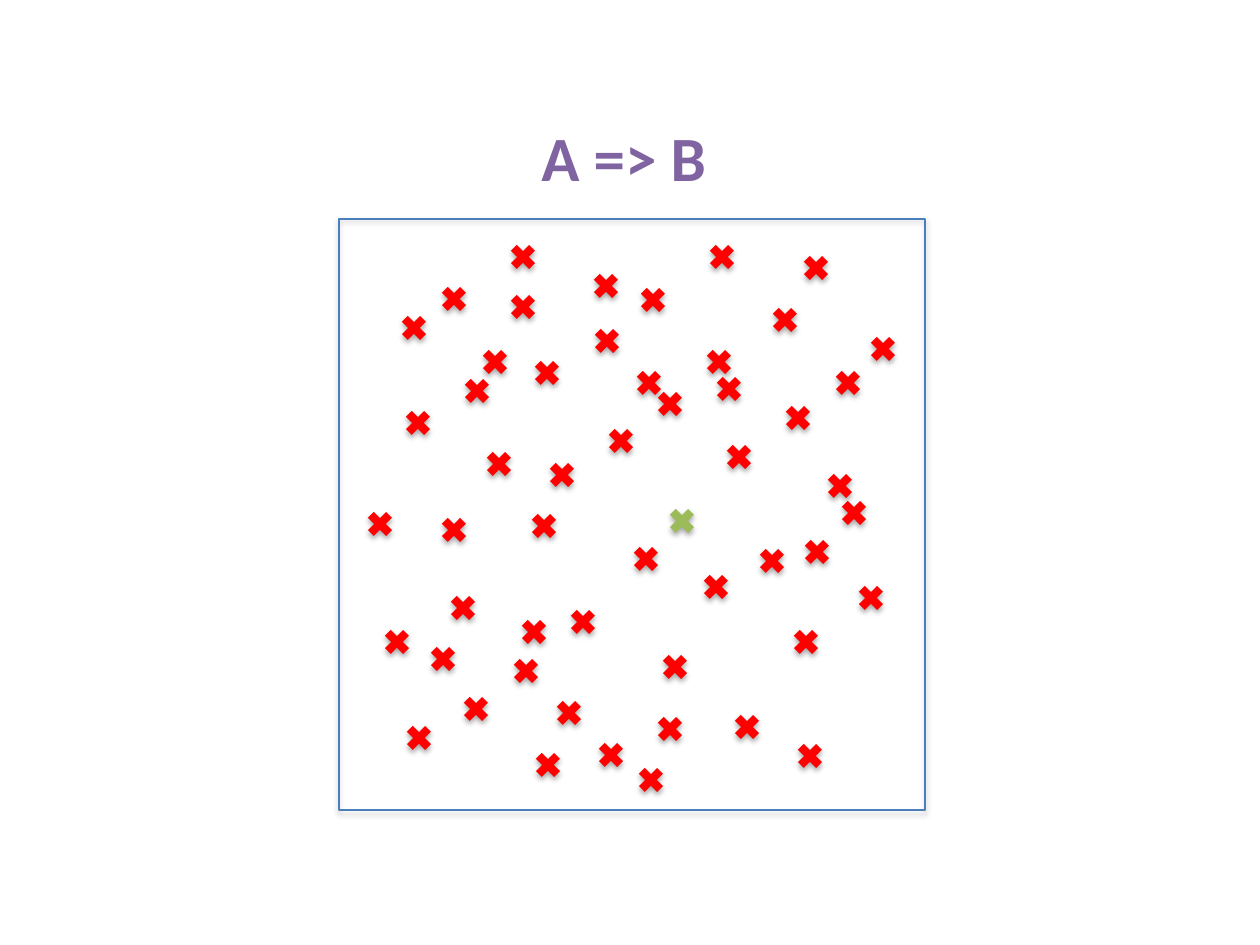
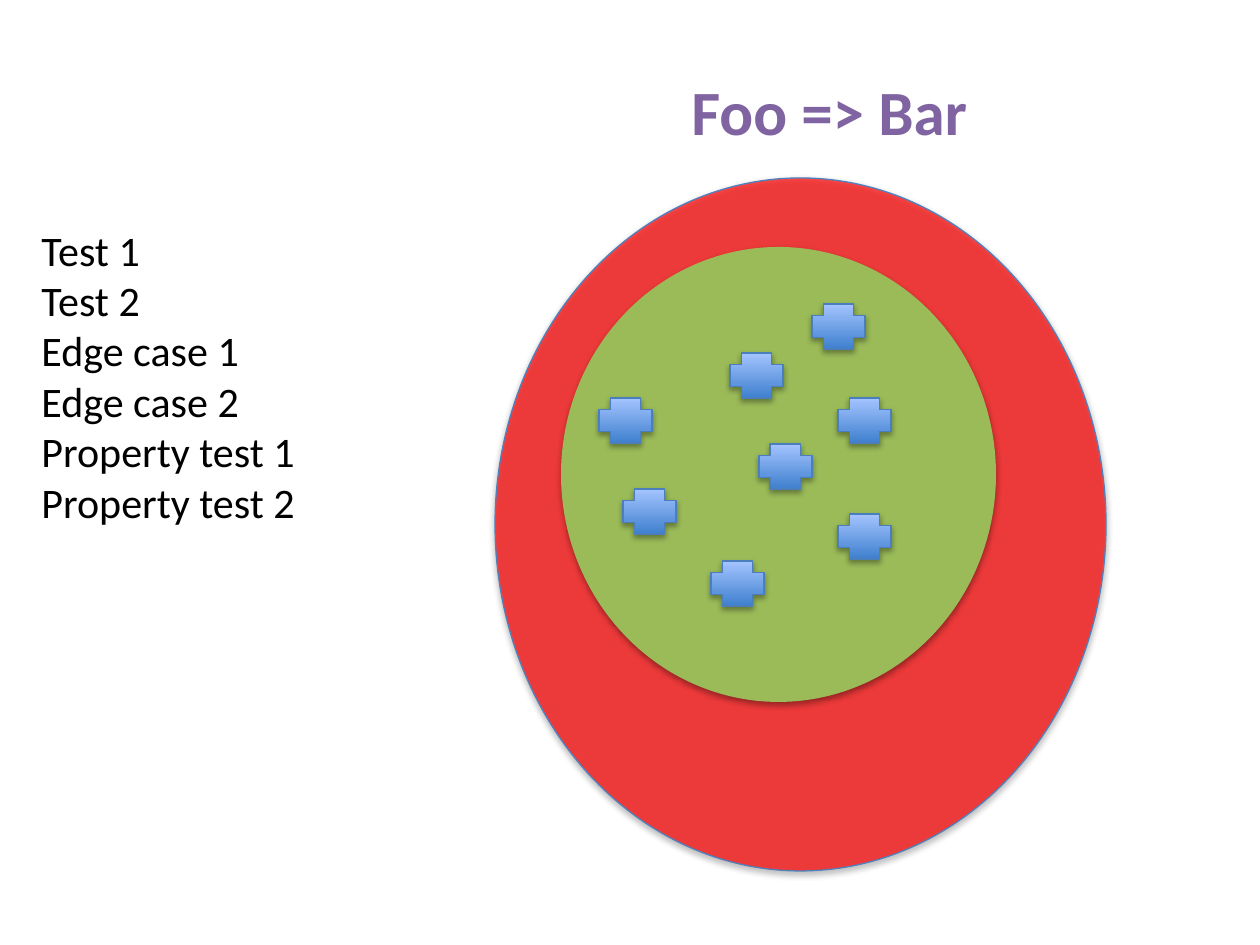
from dataclasses import dataclass

from lxml.etree import SubElement
from pptx import Presentation
from pptx.dml.color import RGBColor
from pptx.enum.shapes import MSO_SHAPE
from pptx.enum.text import MSO_AUTO_SIZE
from pptx.oxml.ns import qn
from pptx.util import Emu, Pt


@dataclass(frozen=True)
class Theme:
    """Colours, font and sizes shared by the slides."""
    font: str = "Calibri"
    title_size: int = 36
    list_size: int = 24
    title: str = "8064A2"
    text: str = "000000"
    failure: str = "FF0000"
    success: str = "9BBB59"
    border: str = "4B7EBC"
    outer_border: str = "4F81BD"
    gradient: tuple = ("3F80CE", "A4C4FF")
    shadow: str = "000000"
    line_width: float = 0.75


THEME = Theme()
EMU_PER_PIXEL = 914400 / 126
CROSS_SIZE = 35
PLUS_SIZE = (53, 45)
FAILURES = [
    (383, 38), (459, 199), (477, 49), (446, 101), (544, 130), (75, 109),
    (509, 164), (380, 143), (115, 80), (156, 143), (138, 172), (160, 245),
    (41, 305), (184, 38), (223, 256), (282, 222), (205, 307), (195, 413),
    (307, 340), (244, 403), (377, 368), (471, 537), (408, 508), (267, 67),
    (184, 88), (208, 154), (268, 122), (314, 81), (310, 164), (331, 185),
    (390, 170), (400, 238), (532, 379), (515, 294), (433, 342), (501, 267),
    (478, 333), (467, 423), (79, 204), (115, 311), (104, 440), (124, 389),
    (80, 519), (58, 423), (187, 452), (137, 490), (230, 494), (209, 546),
    (272, 536), (331, 510), (312, 561), (336, 448),
]
SUCCESS = (343, 302)
TESTS = [
    (169, 106), (277, 151), (198, 197), (38, 151),
    (62, 242), (277, 267), (150, 314), (251, 57),
]
TEST_NAMES = ["Test 1", "Test 2", "Edge case 1", "Edge case 2",
              "Property test 1", "Property test 2"]


def to_emu(box):
    """Turn pixel lengths into EMU."""
    return [Emu(round(length * EMU_PER_PIXEL)) for length in box]


def add_shadow(shape):
    """Give a shape the soft shadow that falls straight down."""
    shape.shadow.inherit = False
    effects = shape._element.spPr.find(qn("a:effectLst"))
    shadow = SubElement(effects, qn("a:outerShdw"), blurRad="40000",
                        dist="23000", dir="5400000", rotWithShape="0")
    color = SubElement(shadow, qn("a:srgbClr"), val=THEME.shadow)
    SubElement(color, qn("a:alpha"), val="35000")


def add_figure(slide, kind, box, fill=None, border=None, opacity=None):
    """Add a shadowed preset shape with an optional fill and border."""
    shape = slide.shapes.add_shape(kind, *to_emu(box))
    if fill:
        shape.fill.solid()
        shape.fill.fore_color.rgb = RGBColor.from_string(fill)
    else:
        shape.fill.background()
    if opacity:
        color = shape._element.spPr.find(qn("a:solidFill")).find(qn("a:srgbClr"))
        SubElement(color, qn("a:alpha"), val=str(opacity * 1000))
    if border:
        shape.line.color.rgb = RGBColor.from_string(border)
        shape.line.width = Pt(THEME.line_width)
    else:
        shape.line.fill.background()
    add_shadow(shape)
    return shape


def add_text(slide, box, lines, size, color, bold=False, wrap=True):
    """Add a text box with one paragraph for each line."""
    frame = slide.shapes.add_textbox(*to_emu(box)).text_frame
    frame.word_wrap = wrap
    frame.auto_size = MSO_AUTO_SIZE.SHAPE_TO_FIT_TEXT
    frame.text = "\n".join(lines)
    for paragraph in frame.paragraphs:
        paragraph.font.name = THEME.font
        paragraph.font.size = Pt(size)
        paragraph.font.bold = bold
        paragraph.font.color.rgb = RGBColor.from_string(color)


def add_title(slide, box, title):
    """Add the bold title above a diagram."""
    add_text(slide, box, [title], THEME.title_size, THEME.title, bold=True)


def add_cross(slide, origin, center, color):
    """Add a cross centred on a point measured from an origin."""
    left, top = (start + offset - CROSS_SIZE / 2
                 for start, offset in zip(origin, center))
    add_figure(slide, MSO_SHAPE.MATH_MULTIPLY,
               (left, top, CROSS_SIZE, CROSS_SIZE), color)


def add_plus(slide, left, top):
    """Add a plus sign with a vertical gradient."""
    shape = add_figure(slide, MSO_SHAPE.CROSS, (left, top, *PLUS_SIZE),
                       border=THEME.border)
    shape.fill.gradient()
    shape.fill.gradient_angle = 90
    for stop, color in zip(shape.fill.gradient_stops, THEME.gradient):
        stop.color.rgb = RGBColor.from_string(color)


def add_scatter(slide, box):
    """Draw the framed field of failures with its single success."""
    add_figure(slide, MSO_SHAPE.RECTANGLE, box, border=THEME.border)
    for center in FAILURES:
        add_cross(slide, box[:2], center, THEME.failure)
    add_cross(slide, box[:2], SUCCESS, THEME.success)


def add_tested_region(slide, box):
    """Draw the region of successes and the tests within it."""
    left, top = box[:2]
    add_figure(slide, MSO_SHAPE.OVAL, box, THEME.success)
    for across, down in TESTS:
        add_plus(slide, left + across, top + down)


def build_scatter_slide(presentation):
    """Build the slide of all possible functions."""
    slide = presentation.slides.add_slide(presentation.slide_layouts[6])
    add_title(slide, (529, 112, 199, 89), "A => B")
    add_scatter(slide, (339, 219, 586, 591))


def build_tests_slide(presentation):
    """Build the slide of tests inside nested regions."""
    slide = presentation.slides.add_slide(presentation.slide_layouts[6])
    add_figure(slide, MSO_SHAPE.OVAL, (495, 178, 611, 693), THEME.failure,
               THEME.outer_border, opacity=70)
    add_title(slide, (679, 66, 316, 89), "Foo => Bar")
    add_text(slide, (29, 218, 282, 318), TEST_NAMES, THEME.list_size,
             THEME.text, wrap=False)
    add_tested_region(slide, (561, 247, 435, 455))


def main():
    """Build and save the presentation."""
    presentation = Presentation()
    presentation.slide_width, presentation.slide_height = to_emu((1260, 945))
    build_scatter_slide(presentation)
    build_tests_slide(presentation)
    presentation.save("out.pptx")


main()
